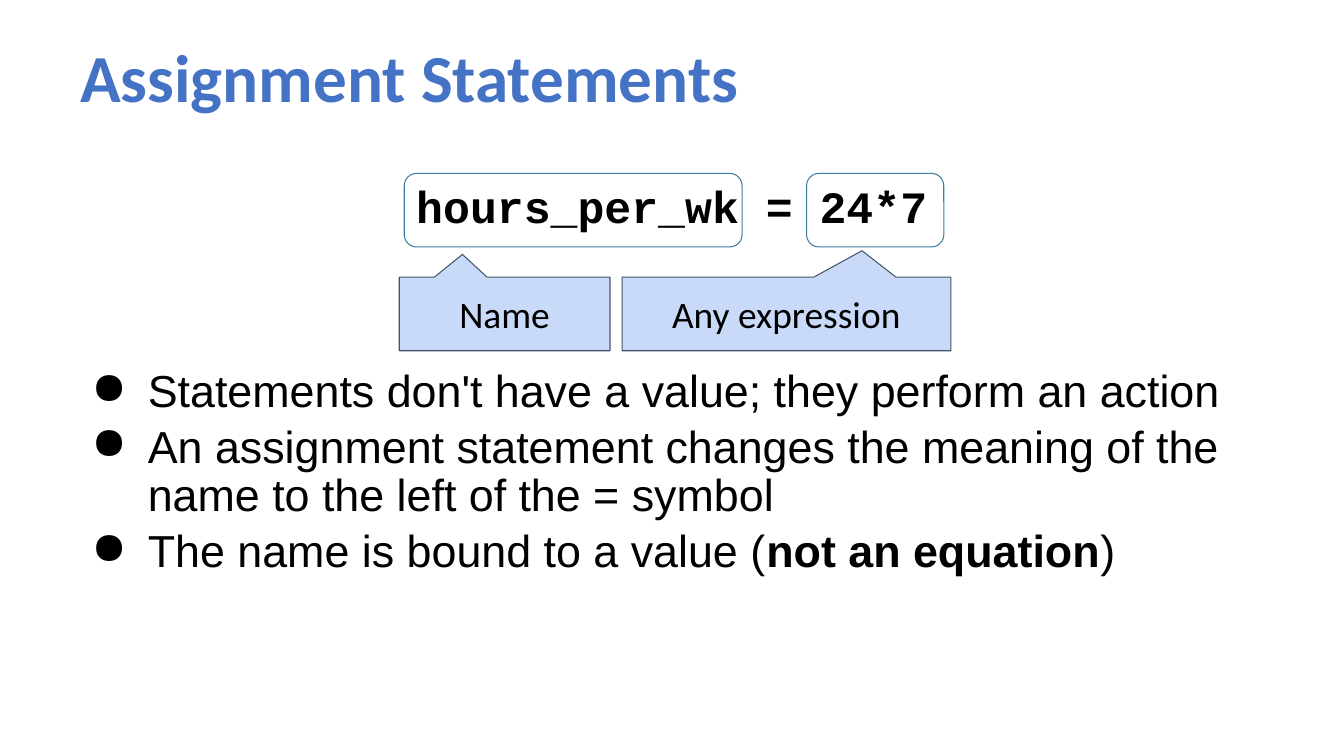
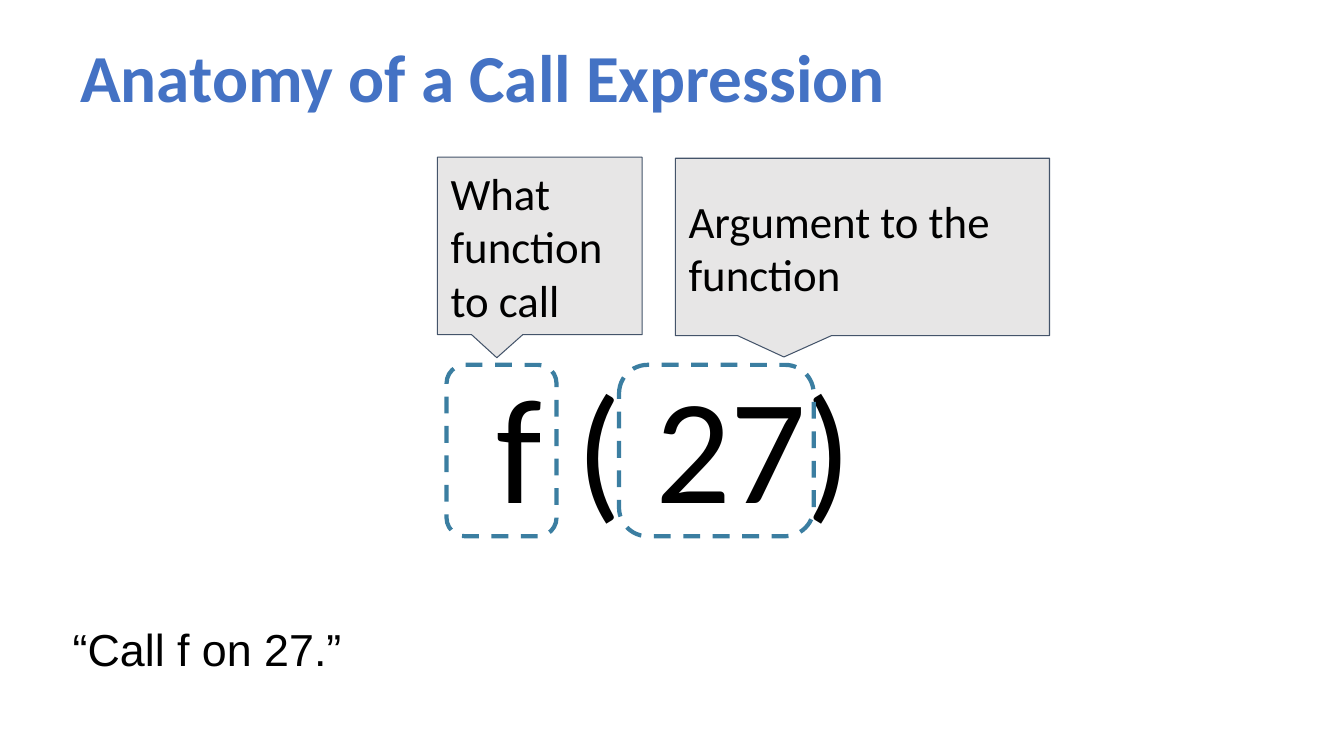
from collections import namedtuple

from lxml.etree import SubElement
from pptx import Presentation
from pptx.dml.color import RGBColor
from pptx.enum.dml import MSO_LINE
from pptx.enum.shapes import MSO_SHAPE as SHAPE
from pptx.enum.text import MSO_ANCHOR as ANCHOR, PP_ALIGN as ALIGN
from pptx.oxml.ns import qn
from pptx.util import Inches, Pt

TITLE_BLUE = RGBColor(0x44, 0x72, 0xC4)
BLACK = RGBColor(0, 0, 0)
MARK_BLUE = RGBColor(0x3B, 0x7E, 0xA1)
CALLOUT_EDGE = RGBColor(0x44, 0x54, 0x6A)
PALE_BLUE = RGBColor(0xC9, 0xDA, 0xF8)
PALE_GREY = RGBColor(0xE7, 0xE6, 0xE6)
HEADING, BODY, CODE = "Calibri", "Arial", "Courier New"
INSET = Inches(0.13)

Box = namedtuple("Box", "left top width height")
Style = namedtuple("Style", "font size bold color align", defaults=(False, BLACK, ALIGN.LEFT))


def part(box, left, top, width, height):
    """Return the part of a box given in percent of its sides."""
    return Box(int(box.left + box.width * left / 100), int(box.top + box.height * top / 100),
               int(box.width * width / 100), int(box.height * height / 100))


def prepare(tf, anchor):
    """Set wrapping, insets and anchor of a text frame."""
    tf.word_wrap = True
    tf.vertical_anchor = anchor
    tf.margin_left = tf.margin_right = tf.margin_top = tf.margin_bottom = INSET


def style_paragraph(p, style):
    """Apply a text style to a whole paragraph."""
    p.alignment = style.align
    p.font.name, p.font.size = style.font, Pt(style.size)
    p.font.bold, p.font.color.rgb = style.bold, style.color


def add_text(slide, box, text, style, anchor=ANCHOR.TOP):
    """Add a one-paragraph text box and return its paragraph."""
    tf = slide.shapes.add_textbox(*box).text_frame
    prepare(tf, anchor)
    p = tf.paragraphs[0]
    p.text = text
    style_paragraph(p, style)
    return p


def add_title(slide, box, text):
    """Add the slide title, resting on the bottom of its box."""
    p = add_text(slide, box, text, Style(HEADING, 48, True, TITLE_BLUE), ANCHOR.BOTTOM)
    p.line_spacing = 0.9


def add_bullets(slide, box, items):
    """Add a bullet list; each item is a list of (text, bold) runs."""
    tf = slide.shapes.add_textbox(*box).text_frame
    prepare(tf, ANCHOR.TOP)
    for i, item in enumerate(items):
        p = tf.add_paragraph() if i else tf.paragraphs[0]
        for text, bold in item:
            r = p.add_run()
            r.text = text
            if bold:
                r.font.bold = True
        style_paragraph(p, Style(BODY, 32))
        p.line_spacing = 0.9
        p.space_before = Pt(5.3 if i else 0)
        p_pr = p._p.get_or_add_pPr()
        p_pr.set("marL", str(Inches(0.67)))
        p_pr.set("indent", str(-Inches(0.56)))
        bullet = SubElement(p_pr, qn("a:buChar"))
        bullet.set("char", "●")
        p_pr.insert_element_before(bullet, "a:tabLst", "a:defRPr", "a:extLst")


def add_mark(slide, box, weight, dash=None):
    """Outline a term with a rounded frame."""
    sp = slide.shapes.add_shape(SHAPE.ROUNDED_RECTANGLE, *box)
    sp.shadow.inherit = False
    sp.fill.background()
    sp.line.color.rgb, sp.line.width = MARK_BLUE, Pt(weight)
    if dash:
        sp.line.dash_style = dash


def add_callout(slide, box, text, style, fill, tip):
    """Add a square-cornered callout; tip is its point relative to the centre."""
    sp = slide.shapes.add_shape(SHAPE.ROUNDED_RECTANGULAR_CALLOUT, *box)
    sp.shadow.inherit = False
    for i, value in enumerate((*tip, 0)):
        sp.adjustments[i] = value
    sp.fill.solid()
    sp.fill.fore_color.rgb = fill
    sp.line.color.rgb, sp.line.width = CALLOUT_EDGE, Pt(0.75)
    prepare(sp.text_frame, ANCHOR.MIDDLE)
    p = sp.text_frame.paragraphs[0]
    p.text = text
    style_paragraph(p, style)


def assignment_diagram(slide, box):
    """Show an assignment with its name and expression labelled below."""
    add_text(slide, part(box, 0, 0, 100, 59.24), "hours_per_wk = 24*7",
             Style(CODE, 32, True, align=ALIGN.CENTER))
    row = 39.67
    label = Style(HEADING, 26.7, align=ALIGN.CENTER)
    for text, (mark_x, mark_w), (label_x, label_w), tip in (
            ("Name", (21.54, 35.91), (21.01, 22.4), (-0.2, -0.81)),
            ("Any expression", (64.31, 14.58), (44.69, 34.94), (0.23, -0.86))):
        add_mark(slide, part(box, mark_x, 4.35, mark_w, row), 0.75)
        add_callout(slide, part(box, label_x, 100 - row, label_w, row),
                    text, label, PALE_BLUE, tip)


def call_diagram(slide, box):
    """Show a call expression with its function and argument labelled above."""
    add_text(slide, part(box, 0, 39.22, 100, 60.78), "f ( 27)",
             Style(HEADING, 106.7, align=ALIGN.CENTER))
    for text, (mark_x, mark_w), (label_x, label_y, label_w), tip in (
            ("What function to call", (31.38, 8.98), (30.64, 0, 16.72), (-0.21, 0.63)),
            ("Argument to the function", (45.47, 15.9), (50.08, 0.22, 30.56), (-0.21, 0.62))):
        add_mark(slide, part(box, mark_x, 44.4, mark_w, 36.64), 3, MSO_LINE.DASH)
        add_callout(slide, part(box, label_x, label_y, label_w, 37.93),
                    text, Style(HEADING, 32), PALE_GREY, tip)


def new_slide(prs, page, title):
    """Add a blank slide with the shared title."""
    slide = prs.slides.add_slide(prs.slide_layouts[6])
    add_title(slide, part(page, 5, 4, 73.37, 13.2), title)
    return slide


def assignment_slide(prs, page):
    """Build the slide on assignment statements."""
    slide = new_slide(prs, page, "Assignment Statements")
    assignment_diagram(slide, part(page, 15, 21.87, 70, 24.53))
    add_bullets(slide, part(page, 5, 47.07, 90, 30.53), [
        [("Statements don't have a value; they perform an action", False)],
        [("An assignment statement changes the meaning of the name "
          "to the left of the = symbol", False)],
        [("The name is bound to a value (", False), ("not an equation", True), (")", False)],
    ])


def call_slide(prs, page):
    """Build the slide on call expressions."""
    slide = new_slide(prs, page, "Anatomy of a Call Expression")
    call_diagram(slide, part(page, 4.65, 20.8, 91.07, 61.87))
    add_text(slide, part(page, 4.43, 80.53, 92.5, 10.8), "“Call f on 27.”", Style(BODY, 32))


prs = Presentation()
prs.slide_width, prs.slide_height = Inches(13.33), Inches(7.5)
page = Box(0, 0, prs.slide_width, prs.slide_height)
assignment_slide(prs, page)
call_slide(prs, page)
prs.save("out.pptx")
